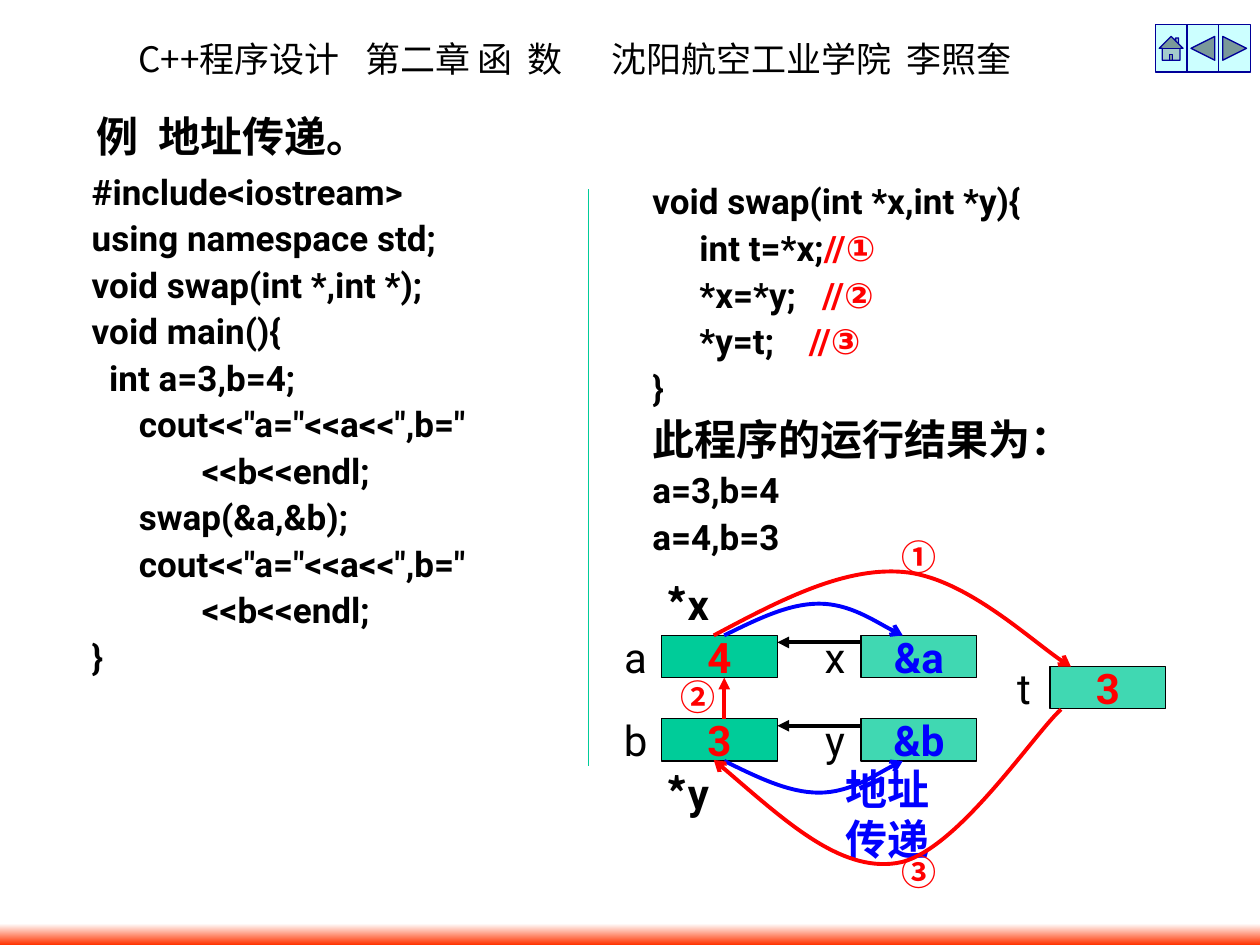
import pptx
import pptx.dml.color
import pptx.enum.shapes
import pptx.enum.text
import pptx.oxml
import pptx.oxml.ns
import pptx.util
from dataclasses import dataclass
from lxml import etree

Cm, Pt = pptx.util.Cm, pptx.util.Pt
MSO = pptx.enum.shapes.MSO_SHAPE
ALIGN = pptx.enum.text.PP_ALIGN
qn = pptx.oxml.ns.qn


@dataclass(frozen=True)
class Theme:
    black: str = "000000"
    red: str = "FF0000"
    blue: str = "0000FF"
    green: str = "00CC99"
    white: str = "FFFFFF"
    orange: str = "FF3300"
    navy: str = "000099"
    cyan: str = "CCFFFF"
    latin: str = "Roboto"
    serif: str = "Times New Roman"
    cjk: str = "Noto Sans CJK SC"
    code: int = 20
    large: int = 24
    thin: float = 0.75
    thick: float = 2.25


T = Theme()

HEADER = "C++程序设计\t第二章\t函\t数\t沈阳航空工业学院\t李照奎"
HEADER_TABS = [4.57, 6.83, 7.85, 9.53, 15.49]
TITLE = "例\t地址传递。"
CODE_TABS = [2.54 * n for n in range(8)]

MAIN_CODE = [
    ["#include<iostream>"],
    ["using namespace std;"],
    ["void swap(int *,int *);"],
    ["void main(){"],
    ["  int a=3,b=4;"],
    ['\tcout<<"a="<<a<<",b="'],
    ["\t\t<<b<<endl;"],
    ["\tswap(&a,&b);"],
    ['\tcout<<"a="<<a<<",b="'],
    ["\t\t<<b<<endl;"],
    ["}"],
]
SWAP_CODE = [
    ["void swap(int *x,int *y){"],
    ["\tint t=*x;", "//①"],
    ["\t*x=*y;   ", "//②"],
    ["\t*y=t;    ", "//③"],
    ["}"],
    ["此程序的运行结果为："],
    ["a=3,b=4"],
    ["a=4,b=3"],
]
RESULT_HEADING = "此程序的运行结果为："

BUTTONS = [MSO.ACTION_BUTTON_HOME, MSO.ACTION_BUTTON_BACK_OR_PREVIOUS,
           MSO.ACTION_BUTTON_FORWARD_OR_NEXT]

CELL_W, CELL_H, LABEL_H, NAME_SHIFT = 2.33, 0.85, 1.27, 1.69
CELLS = [
    ("a", "4", 13.34, 12.81, T.red, 100),
    ("b", "3", 13.34, 14.49, T.red, 100),
    ("x", "&a", 17.36, 12.81, T.blue, 75),
    ("y", "&b", 17.36, 14.49, T.blue, 75),
    ("t", "3", 21.17, 13.44, T.red, 75),
]
MARKS = [
    (["*", "x"], 12.7, 11.53, T.black, T.large, T.latin),
    (["*", "y"], 12.7, 15.35, T.black, T.large, T.latin),
    (["地址传递"], 16.72, 15.77, T.blue, T.large, T.latin),
    (["①"], 17.36, 10.58, T.red, T.code, T.cjk),
    (["②"], 12.91, 13.41, T.red, T.code, T.cjk),
    (["③"], 17.36, 16.93, T.red, T.code, T.cjk),
]
ADDRESS_ARC = [(14.6, 12.81), (15.27, 12.48), (15.9, 12.17), (16.51, 12.17),
               (17.12, 12.17), (17.93, 12.7), (18.2, 12.81)]
CURVES = [
    (ADDRESS_ARC, T.blue),
    ([(x, 28.15 - y) for x, y in ADDRESS_ARC], T.blue),
    ([(14.39, 12.81), (15.7, 12.11), (17, 11.43), (18.2, 11.53),
      (19.41, 11.63), (21.03, 13.13), (21.59, 13.44)], T.red),
    ([(21.39, 14.3), (20.83, 14.81), (19.25, 17.22), (18.08, 17.4),
      (16.92, 17.58), (15.7, 16.43), (14.39, 15.32)], T.red),
]
LINES = [
    ((11.86, 3.81), (11.86, 15.44), T.green, T.thin, None),
    ((17.36, 12.95), (15.67, 12.95), T.black, T.thick, "triangle"),
    ((17.36, 14.63), (15.67, 14.63), T.black, T.thick, "triangle"),
    ((14.6, 14.49), (14.6, 13.66), T.red, T.thick, "triangle"),
]


def rgb(value):
    return pptx.dml.color.RGBColor.from_string(value)


def add_tabs(p, stops):
    tabs = etree.SubElement(p._p.get_or_add_pPr(), qn("a:tabLst"))
    for stop in stops:
        etree.SubElement(tabs, qn("a:tab"), pos=str(Cm(stop)), algn="l")


def style(p, size, color=T.black, name=T.latin, bold=True):
    f = p.font
    f.size, f.bold, f.name = Pt(size), bold, name
    f.color.rgb = rgb(color)
    etree.SubElement(p._p.pPr.find(qn("a:defRPr")), qn("a:ea"), typeface=T.cjk)


def add_box(s, x, y, w, h, wrap=True):
    tf = s.shapes.add_textbox(Cm(x), Cm(y), Cm(w), Cm(h)).text_frame
    tf.word_wrap = wrap
    return tf


def add_line_text(s, text, box, stops, size, name, bold):
    p = add_box(s, *box).paragraphs[0]
    add_tabs(p, stops)
    p.add_run().text = text
    style(p, size, name=name, bold=bold)


def add_code(s, lines, box):
    tf = add_box(s, *box)
    for i, parts in enumerate(lines):
        p = tf.paragraphs[0] if i == 0 else tf.add_paragraph()
        size = T.large if parts[0] == RESULT_HEADING else T.code
        p.line_spacing = 0.9
        p.space_before = Pt(size // 4 if i else 0)
        pPr = p._p.get_or_add_pPr()
        pPr.set("marL", str(Cm(0.95)))
        pPr.set("indent", str(-Cm(0.95)))
        add_tabs(p, CODE_TABS)
        style(p, size)
        for part in parts:
            r = p.add_run()
            r.text = part
            if part.startswith("//"):
                r.font.color.rgb = rgb(T.red)


def center(tf, parts, size, color, name=T.latin, bold=True):
    tf.word_wrap = False
    tf.vertical_anchor = pptx.enum.text.MSO_ANCHOR.MIDDLE
    p = tf.paragraphs[0]
    p.alignment = ALIGN.CENTER
    style(p, size, color, name, bold)
    for part in parts:
        r = p.add_run()
        r.text = part
        if part == "*":
            r.font.name = T.cjk


def add_preset(s, kind, x, y, w, h, fill=None, line=None):
    sp = s.shapes.add_shape(kind, Cm(x), Cm(y), Cm(w), Cm(h))
    sp.shadow.inherit = False
    if fill:
        sp.fill.solid()
        sp.fill.fore_color.rgb = rgb(fill)
    if line:
        sp.line.color.rgb = rgb(line)
        sp.line.width = Pt(T.thin)
    else:
        sp.line.fill.background()
    return sp


def stroke(sp, color, width, arrow):
    sp.line.color.rgb = rgb(color)
    sp.line.width = Pt(width)
    if arrow:
        etree.SubElement(sp.line._get_or_add_ln(), qn("a:tailEnd"), type=arrow)


def add_curve(s, points, color):
    start, *rest = [(Cm(x), Cm(y)) for x, y in points]
    builder = s.shapes.build_freeform(*start)
    builder.add_line_segments(rest, close=False)
    sp = builder.convert_to_shape()
    sp.shadow.inherit = False
    sp.fill.background()
    outline = sp._element.find(".//" + qn("a:path"))
    segments = outline.findall(qn("a:lnTo"))
    for i in range(0, len(segments), 3):
        bezier = etree.SubElement(outline, qn("a:cubicBezTo"))
        for segment in segments[i:i + 3]:
            bezier.append(segment[0])
            outline.remove(segment)
    stroke(sp, color, T.thick, "arrow")


def add_line(s, start, end, color, width, arrow):
    kind = pptx.enum.shapes.MSO_CONNECTOR.STRAIGHT
    sp = s.shapes.add_connector(kind, *map(Cm, start + end))
    stroke(sp, color, width, arrow)
    etree.SubElement(sp._element.spPr, qn("a:effectLst"))


def main():
    """Build the slide on passing addresses to a swap function."""
    prs = pptx.Presentation()
    prs.slide_width, prs.slide_height = Cm(25.4), Cm(19.05)
    s = prs.slides.add_slide(prs.slide_layouts[6])
    add_line_text(s, HEADER, (2.54, 0.64, 20.96, 1.12), HEADER_TABS, T.code, T.cjk, False)
    bar = add_preset(s, MSO.RECTANGLE, 0, 18.62, 25.4, 0.43)
    bar.fill.gradient()
    bar.fill.gradient_angle = 270
    for stop, color, position in zip(bar.fill.gradient_stops, (T.white, T.orange), (0, 1)):
        stop.color.rgb, stop.position = rgb(color), position
    for i, kind in enumerate(BUTTONS):
        add_preset(s, kind, 23.29 + 0.64 * i, 0.5, 0.64, 0.95, T.cyan, T.navy)
    add_code(s, MAIN_CODE, (1.6, 3.4, 10.46, 11.61))
    add_code(s, SWAP_CODE, (12.9, 3.6, 12.27, 10.59))
    add_line_text(s, TITLE, (1.7, 2.11, 16.51, 1.27), [1.24], T.large, T.serif, True)
    for name, value, x, y, color, opacity in CELLS:
        cell = add_preset(s, MSO.RECTANGLE, x, y, CELL_W, CELL_H, T.green, T.black)
        solid = cell._element.spPr.find(qn("a:solidFill"))
        etree.SubElement(solid[0], qn("a:alpha"), val=str(opacity * 1000))
        center(cell.text_frame, [value], T.large, color)
        label = add_box(s, x - NAME_SHIFT, y - (LABEL_H - CELL_H) / 2, CELL_W, LABEL_H)
        center(label, [name], T.large, T.black, bold=False)
    for parts, x, y, color, size, name in MARKS:
        center(add_box(s, x, y, CELL_W, LABEL_H), parts, size, color, name)
    for points, color in CURVES:
        add_curve(s, points, color)
    for line in LINES:
        add_line(s, *line)
    prs.save("out.pptx")


if __name__ == "__main__":
    main()
